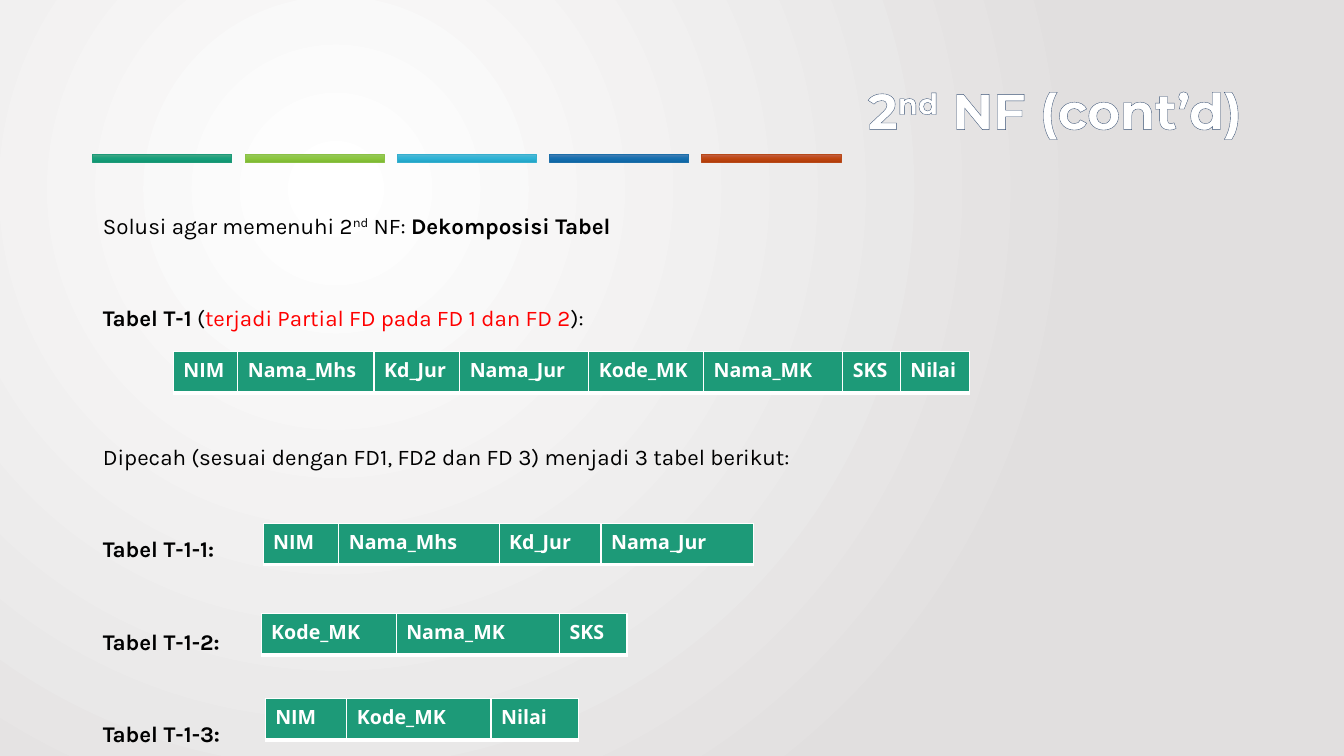
from dataclasses import dataclass
from typing import Any, NamedTuple, Optional

from pptx import Presentation
from pptx.dml.color import RGBColor
from pptx.enum.shapes import MSO_SHAPE
from pptx.enum.text import MSO_ANCHOR, MSO_AUTO_SIZE, PP_ALIGN
from pptx.oxml import parse_xml
from pptx.oxml.ns import nsdecls, qn
from pptx.slide import Slide
from pptx.util import Emu, Inches, Pt

WIDE, HIGH = Inches(13.333), Inches(7.5)


@dataclass(frozen=True)
class Theme:
    """Colours, fonts and type sizes of the slide."""
    white: str = "FFFFFF"
    black: str = "000000"
    red: str = "FF0000"
    green: str = "1D9A78"
    edge: str = "3A5274"
    shade: str = "E1DFDF"
    head: str = "Montserrat"
    body: str = "Karla"
    grid: str = "Open Sans"
    big: int = 36
    mid: int = 16
    small: int = 14


class Bar(NamedTuple):
    """Gradient stops and outline of one coloured bar."""
    stops: tuple[str, ...]
    line: str


class Grid(NamedTuple):
    """Place and columns of one header table, in percent of the slide."""
    left: float
    top: float
    cols: dict[str, float]


class Line(NamedTuple):
    """Space before a body line and its runs."""
    gap: int
    runs: list[tuple[str, dict[str, Any]]]


THEME = Theme()
EDGE, SPAN = 6.9, 86.25
ROW = 5.47
BOLD = {"bold": True}
RAISED = {"raised": True}

BARS = [
    Bar(("4EA788", "17A07B", "0F9470"), "1D9A78"),
    Bar(("98C862", "8CC73F", "7DB831"), "8BC145"),
    Bar(("59B8D4", "2EB3D6", "21A4C6"), "36AFCE"),
    Bar(("4E80B5", "1670B0", "0D65A3"), "1D6FA9"),
    Bar(("C2634D", "BF4611", "B13B08"), "B74919"),
]

TITLE = [("2", {}), ("nd", RAISED), (" NF (cont’d)", {})]

LINES = [
    Line(0, [("Solusi agar memenuhi 2", {}), ("nd", RAISED), (" NF: ", {}),
             ("Dekomposisi Tabel", BOLD)]),
    Line(43, [("Tabel T-1", BOLD), (" (", {}),
              ("terjadi Partial FD pada FD 1 dan FD 2", {"color": THEME.red}),
              ("):", {})]),
    Line(76, [("Dipecah (sesuai dengan FD1, FD2 dan FD 3) menjadi 3 tabel berikut:", {})]),
    Line(43, [("Tabel T-1-1:", BOLD)]),
    Line(43, [("Tabel T-1-2:", BOLD)]),
    Line(43, [("Tabel T-1-3:", BOLD)]),
]

GRIDS = [
    Grid(12.9, 46.53, {"NIM": 4.8, "Nama_Mhs": 10.13, "Kd_Jur": 6.38, "Nama_Jur": 9.6,
                       "Kode_MK": 8.55, "Nama_MK": 10.35, "SKS": 4.28, "Nilai": 5.18}),
    Grid(19.58, 69.2, {"NIM": 5.63, "Nama_Mhs": 11.93, "Kd_Jur": 7.58, "Nama_Jur": 11.33}),
    Grid(19.43, 81.2, {"Kode_MK": 10.05, "Nama_MK": 12.15, "SKS": 5.03}),
    Grid(19.73, 92.4, {"NIM": 6.08, "Kode_MK": 10.73, "Nilai": 6.53}),
]


def across(share: float) -> Emu:
    """Turn a percentage of the slide's width into a length."""
    return Emu(round(WIDE * share / 100))


def down(share: float) -> Emu:
    """Turn a percentage of the slide's height into a length."""
    return Emu(round(HIGH * share / 100))


def place(shape: Any, left: float, top: float, width: float, height: float) -> None:
    """Move a shape to a box given in percent."""
    shape.left, shape.top = across(left), down(top)
    shape.width, shape.height = across(width), down(height)


def rgb(code: str) -> RGBColor:
    """Read a hex colour."""
    return RGBColor.from_string(code)


def stroke(tag: str, color: str, width: float) -> Any:
    """Make a solid line element."""
    return parse_xml(f'<a:{tag} {nsdecls("a")} w="{Pt(width)}"><a:solidFill>'
                     f'<a:srgbClr val="{color}"/></a:solidFill></a:{tag}>')


def blend(fill: Any, root: Any, stops: tuple[str, ...], flow: str) -> None:
    """Fill with evenly spaced gradient stops along the given flow."""
    fill.gradient()
    step = 100000 // (len(stops) - 1)
    marks = "".join(f'<a:gs pos="{i * step}"><a:srgbClr val="{code}"/></a:gs>'
                    for i, code in enumerate(stops))
    old = root.find(".//" + qn("a:gradFill"))
    new = parse_xml(f'<a:gradFill {nsdecls("a")} rotWithShape="1">'
                    f'<a:gsLst>{marks}</a:gsLst>{flow}</a:gradFill>')
    old.getparent().replace(old, new)


def write(para: Any, text: str, *, face: str, size: int, color: str,
          bold: bool = False, raised: bool = False, edge: Optional[str] = None) -> None:
    """Add one formatted run to a paragraph."""
    run = para.add_run()
    run.text = text
    font = run.font
    font.name, font.size, font.bold = face, Pt(size), bold
    font.color.rgb = rgb(color)
    props = run._r.get_or_add_rPr()
    if raised:
        props.set("baseline", "30000")
    if edge:
        props.insert(0, stroke("ln", edge, 1))


def paint(slide: Slide) -> None:
    """Give the slide its round background glow."""
    flow = ('<a:path path="circle"><a:fillToRect l="50000" t="50000" '
            'r="100000" b="100000"/></a:path>')
    blend(slide.background.fill, slide.element, (THEME.white, THEME.shade), flow)


def stripe(slide: Slide, rank: int, bar: Bar) -> None:
    """Draw one bar of the coloured row."""
    shape = slide.shapes.add_shape(MSO_SHAPE.RECTANGLE, 0, 0, 0, 0)
    place(shape, EDGE + rank * 11.33, 20.4, 10.35, 1.07)
    shape.shadow.inherit = False
    blend(shape.fill, shape.element, bar.stops, '<a:lin ang="5400000" scaled="0"/>')
    shape.line.color.rgb = rgb(bar.line)
    shape.line.width = Pt(0.5)


def head(slide: Slide) -> None:
    """Fill the title."""
    shape = slide.shapes.title
    place(shape, EDGE, 5.33, SPAN, 19.33)
    frame = shape.text_frame
    frame.auto_size = MSO_AUTO_SIZE.NONE
    frame.vertical_anchor = MSO_ANCHOR.MIDDLE
    para = frame.paragraphs[0]
    para.alignment, para.line_spacing = PP_ALIGN.RIGHT, 0.9
    for text, look in TITLE:
        write(para, text, face=THEME.head, size=THEME.big, color=THEME.white,
              bold=True, edge=THEME.edge, **look)


def prose(slide: Slide) -> None:
    """Fill the body with its lines."""
    shape = slide.placeholders[1]
    place(shape, EDGE, 26.67, SPAN, 63.47)
    frame = shape.text_frame
    frame.auto_size = MSO_AUTO_SIZE.NONE
    for rank, line in enumerate(LINES):
        para = frame.add_paragraph() if rank else frame.paragraphs[0]
        props = para._p.get_or_add_pPr()
        props.set("marL", str(across(4.2)))
        props.set("indent", str(-across(4.2)))
        props.append(parse_xml(f'<a:buNone {nsdecls("a")}/>'))
        para.line_spacing, para.space_before = 1.2, Pt(line.gap)
        for text, look in line.runs:
            base = {"face": THEME.body, "size": THEME.mid, "color": THEME.black}
            write(para, text, **{**base, **look})


def chart(slide: Slide, grid: Grid) -> None:
    """Draw one row of column names as a table."""
    width = across(sum(grid.cols.values()))
    table = slide.shapes.add_table(1, len(grid.cols), across(grid.left), down(grid.top),
                                   width, down(ROW)).table
    table.horz_banding = False
    for rank, (name, share) in enumerate(grid.cols.items()):
        table.columns[rank].width = across(share)
        cell = table.cell(0, rank)
        cell.fill.solid()
        cell.fill.fore_color.rgb = rgb(THEME.green)
        props = cell._tc.get_or_add_tcPr()
        for spot, side in enumerate("LRTB"):
            props.insert(spot, stroke("ln" + side, THEME.white, 3 if side == "B" else 1))
        write(cell.text_frame.paragraphs[0], name, face=THEME.grid,
              size=THEME.small, color=THEME.white, bold=True)


def main() -> None:
    """Build and save the slide."""
    deck = Presentation()
    deck.slide_width, deck.slide_height = WIDE, HIGH
    slide = deck.slides.add_slide(deck.slide_layouts[1])
    paint(slide)
    for rank, bar in enumerate(BARS):
        stripe(slide, rank, bar)
    head(slide)
    prose(slide)
    for grid in GRIDS:
        chart(slide, grid)
    deck.save("out.pptx")


if __name__ == "__main__":
    main()
